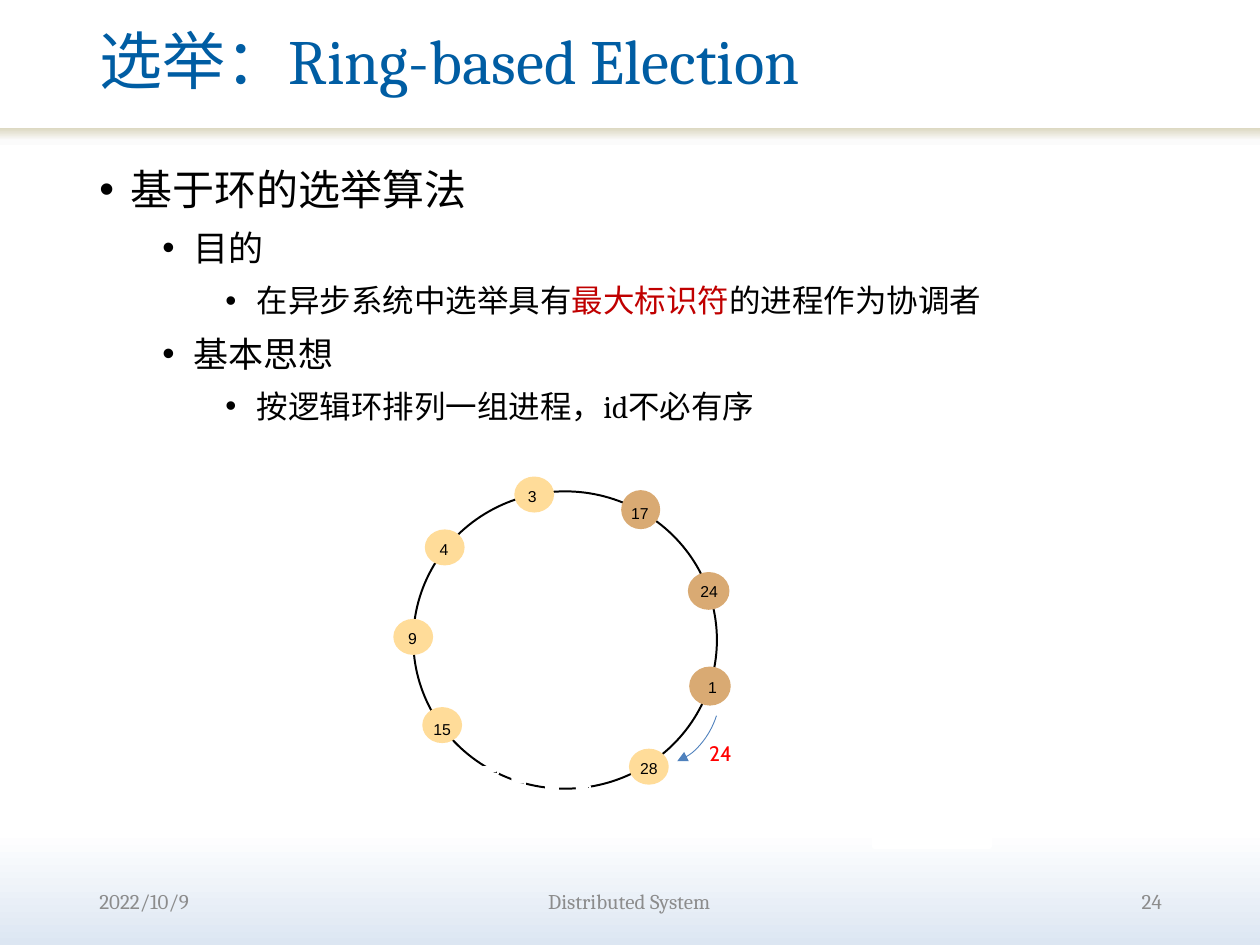
import copy
import pptx
import pptx.util
import pptx.dml.color
import pptx.enum.shapes
import pptx.enum.text
import pptx.oxml
import pptx.oxml.ns

Pt = pptx.util.Pt
RGB = pptx.dml.color.RGBColor.from_string
SHAPE = pptx.enum.shapes.MSO_SHAPE
ALIGN = pptx.enum.text.PP_ALIGN
ANCHOR = pptx.enum.text.MSO_ANCHOR
FIT = pptx.enum.text.MSO_AUTO_SIZE

theme = {
    "serif": "Cambria", "sans": "Arial", "tag_font": "Cabin",
    "title": "005DA3", "text": "000000", "accent": "C00000", "muted": "8C8C8C",
    "tag": "FF0000", "white": "FFFFFF", "sky": "DCE6F2", "mist": "FBFBFB",
    "sand": "DDD9C3", "node": "FFDC99", "active": "D9AA73", "arrow": "4F81BD",
    "title_size": 36, "level_sizes": [24, 20, 18], "small": 12, "label": 9,
}


def add_run(p, text, size, color, font):
    r = p.add_run()
    r.text = text
    r.font.size = Pt(size)
    r.font.name = theme[font]
    r.font.color.rgb = RGB(theme[color])


def add_shape(shapes, kind, box, fill=None, line=None, width=1.13):
    sp = shapes.add_shape(kind, *[Pt(v) for v in box])
    sp.shadow.inherit = False
    if fill:
        sp.fill.solid()
        sp.fill.fore_color.rgb = RGB(theme[fill])
    else:
        sp.fill.background()
    if line:
        sp.line.color.rgb = RGB(theme[line])
        sp.line.width = Pt(width)
    else:
        sp.line.fill.background()
    return sp


prs = pptx.Presentation()
prs.slide_width, prs.slide_height = Pt(720), Pt(540)
s = prs.slides.add_slide(prs.slide_layouts[5])

band = add_shape(s.shapes, SHAPE.RECTANGLE, (0, 73.44, 720, 12.24))
gradients = [
    (s.background.fill, 270, [(0, "white"), (88, "white"), (100, "sky")]),
    (band.fill, 90, [(0, "white"), (45, "mist"), (100, "sand")]),
]
for fill, angle, stops in gradients:
    fill.gradient()
    fill.gradient_angle = angle
    first = fill.gradient_stops[0]._gs
    first.addnext(copy.deepcopy(first))
    for stop, (position, color) in zip(fill.gradient_stops, stops):
        stop.position = position / 100
        stop.color.rgb = RGB(theme[color])

title = s.shapes.title
title.left, title.top, title.width, title.height = Pt(49.68), Pt(0), Pt(597.6), Pt(73.44)
tf = title.text_frame
tf.auto_size = FIT.NONE
tf.vertical_anchor = ANCHOR.MIDDLE
p = tf.paragraphs[0]
p.alignment = ALIGN.LEFT
p.line_spacing = 0.9
add_run(p, "选举：Ring-based Election", theme["title_size"], "title", "serif")

outline = [
    (0, [("基于环的选举算法", "text")]),
    (1, [("目的", "text")]),
    (2, [("在异步系统中选举具有", "text"), ("最大标识符", "accent"), ("的进程作为协调者", "text")]),
    (1, [("基本思想", "text")]),
    (2, [("按逻辑环排列一组进程，id不必有序", "text")]),
]
body = s.shapes.add_textbox(Pt(49.68), Pt(87.12), Pt(620.64), Pt(399.6))
tf = body.text_frame
tf.word_wrap = True
for i, (level, runs) in enumerate(outline):
    p = tf.add_paragraph() if i else tf.paragraphs[0]
    p.level = level
    p.line_spacing = 1.1
    p.space_before = Pt(5 if i else 0)
    pPr = p._p.get_or_add_pPr()
    pPr.set("marL", str(Pt(18 + 36 * level)))
    pPr.set("indent", str(Pt(-18)))
    ns = pptx.oxml.ns.nsdecls("a")
    pPr.append(pptx.oxml.parse_xml(f'<a:buFont {ns} typeface="Arial"/>'))
    pPr.append(pptx.oxml.parse_xml(f'<a:buChar {ns} char="•"/>'))
    for text, color in runs:
        add_run(p, text, theme["level_sizes"][level], color, "serif")

add_shape(s.shapes, SHAPE.RECTANGLE, (498.96, 455.76, 65.52, 27.36), "white")
add_shape(s.shapes, SHAPE.RECTANGLE, (499.68, 456.48, 65.52, 27.36), None, "white", 3)

ring = s.shapes.add_group_shape().shapes
add_shape(ring, SHAPE.OVAL, (236.16, 280.8, 173.52, 169.92), None, "text")

tag = add_shape(ring, SHAPE.RECTANGLE, (398.16, 419.76, 33.12, 20.88), "white")
tf = tag.text_frame
tf.vertical_anchor = ANCHOR.TOP
p = tf.paragraphs[0]
p.alignment = ALIGN.LEFT
add_run(p, "24", theme["small"], "tag", "tag_font")

gaps = [
    (275.76, 437.76, 7.92, 3.6, 0.72, 0.72),
    (292.32, 443.52, 7.2, 4.32, 0.72, 0.72),
    (311.76, 449.28, 7.2, 2.16, 0, 0),
    (329.04, 449.28, 7.2, 3.6, 0.72, 0),
]
for x, y, w, h, dx, dy in gaps:
    add_shape(ring, SHAPE.RECTANGLE, (x, y, w, h), "white")
    add_shape(ring, SHAPE.RECTANGLE, (x + dx, y + dy, w, h), None, "white")

nodes = [
    ("15", (241.92, 404.64, 21.6, 19.44), "node", (247.68, 411.12)),
    ("9", (225.36, 354.24, 21.6, 19.44), "node", (233.28, 359.28)),
    ("4", (243.36, 303.12, 21.6, 19.44), "node", (251.28, 308.16)),
    ("3", (294.48, 272.88, 21.6, 19.44), "node", (301.68, 277.92)),
    ("28", (360, 428.4, 21.6, 19.44), "node", (365.76, 433.44)),
    ("17", (354.96, 280.08, 22.32, 22.32), "active", (360.72, 288)),
    ("24", (393.12, 326.88, 23.76, 21.6), "active", (400.32, 332.64)),
    ("1", (393.84, 380.88, 23.76, 22.32), "active", (404.64, 387.36)),
]
for number, box, color, (x, y) in nodes:
    add_shape(ring, SHAPE.OVAL, box, color, color if color == "node" else None)
    width = 14.4 if len(number) == 2 else 9.36
    label = ring.add_textbox(Pt(x), Pt(y), Pt(width), Pt(13.68))
    tf = label.text_frame
    tf.margin_left = tf.margin_top = tf.margin_right = tf.margin_bottom = 0
    tf.word_wrap = False
    tf.auto_size = FIT.SHAPE_TO_FIT_TEXT
    add_run(tf.paragraphs[0], number, theme["label"], "text", "sans")

footers = [
    ("2022/10/9", 49.68, 149.76, ALIGN.LEFT),
    ("Distributed System", 198.72, 321.84, ALIGN.CENTER),
    ("24", 521.28, 149.76, ALIGN.RIGHT),
]
for text, x, width, align in footers:
    footer = s.shapes.add_textbox(Pt(x), Pt(500.4), Pt(width), Pt(28.8))
    tf = footer.text_frame
    tf.word_wrap = True
    tf.vertical_anchor = ANCHOR.MIDDLE
    p = tf.paragraphs[0]
    p.alignment = align
    add_run(p, text, theme["small"], "muted", "serif")

arc = add_shape(s.shapes, SHAPE.ARC, (347.04, 373.68, 73.44, 54), None, "arrow", 0.5)
arc.rotation = 108
arc.adjustments[0] = 162
arc.adjustments[1] = 201.97
ln = arc.line._get_or_add_ln()
ln.append(pptx.oxml.parse_xml(f'<a:tailEnd {pptx.oxml.ns.nsdecls("a")} type="triangle"/>'))

prs.save("out.pptx")
